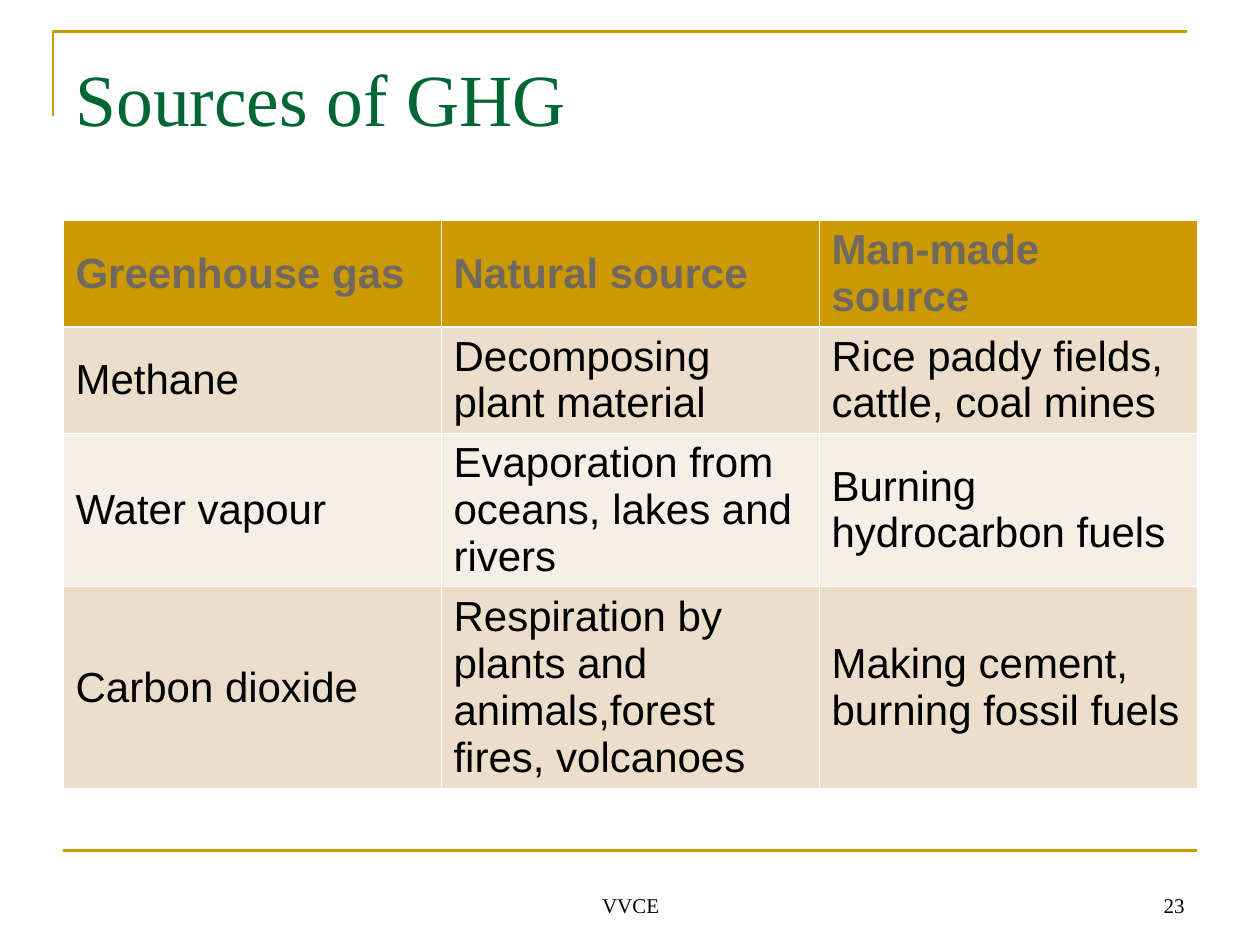
from dataclasses import dataclass

from lxml import etree
from pptx import Presentation, util as u
from pptx.dml.color import RGBColor
from pptx.enum import shapes, text
from pptx.oxml import ns


@dataclass(frozen=True)
class Theme:
    """Colours, fonts and type sizes of the slide."""
    gold: str = "CC9900"
    green: str = "006633"
    grey: str = "6F6961"
    black: str = "000000"
    white: str = "FFFFFF"
    bands: tuple = ("ECDECB", "F6EFE7")
    serif: str = "Times New Roman"
    sans: str = "Arial"
    title_size: int = 42
    table_size: int = 24
    footer_size: int = 12
    rule: float = 1.5
    grid: float = 0.45


THEME = Theme()
HEADERS = ["Greenhouse gas", "Natural source", "Man-made source"]
GASES = [
    ["Methane", "Decomposing plant material", "Rice paddy fields, cattle, coal mines"],
    ["Water vapour", "Evaporation from oceans, lakes and rivers", "Burning hydrocarbon fuels"],
    ["Carbon dioxide", "Respiration by plants and animals,forest fires, volcanoes",
     "Making cement, burning fossil fuels"],
]
ROW_HEIGHTS = [0.84, 0.84, 1.22, 1.6]


def write(tf, words, *, size, font, color, bold=False,
          align=text.PP_ALIGN.LEFT, anchor=text.MSO_ANCHOR.MIDDLE):
    """Fill a text frame with one formatted paragraph."""
    tf.word_wrap = True
    tf.vertical_anchor = anchor
    p = tf.paragraphs[0]
    p.alignment = align
    r = p.add_run()
    r.text = words
    r.font.size = u.Pt(size)
    r.font.name = font
    r.font.bold = bold
    r.font.color.rgb = RGBColor.from_string(color)


def style_rule(sp):
    """Give a line shape the gold stroke and no shadow."""
    sp.line.color.rgb = RGBColor.from_string(THEME.gold)
    sp.line.width = u.Pt(THEME.rule)
    etree.SubElement(sp._element.spPr, ns.qn("a:effectLst"))


def add_rules(slide):
    """Draw the title corner and the footer rule."""
    builder = slide.shapes.build_freeform(u.Inches(0.42), u.Inches(0.92))
    builder.add_line_segments(
        [(u.Inches(0.42), u.Inches(0.25)), (u.Inches(9.42), u.Inches(0.25))], close=False)
    corner = builder.convert_to_shape()
    corner.fill.background()
    style_rule(corner)
    style_rule(slide.shapes.add_connector(
        shapes.MSO_CONNECTOR.STRAIGHT,
        u.Inches(0.5), u.Inches(6.75), u.Inches(9.5), u.Inches(6.75)))


def add_title(slide, words):
    """Place and format the title placeholder."""
    sp = slide.shapes.title
    sp.left, sp.top, sp.width, sp.height = map(u.Inches, (0.5, 0.3, 9, 1.25))
    tf = sp.text_frame
    tf.auto_size = text.MSO_AUTO_SIZE.NONE
    tf.margin_top = u.Inches(0.12)
    write(tf, words, size=THEME.title_size, font=THEME.serif,
          color=THEME.green, anchor=text.MSO_ANCHOR.TOP)


def set_borders(cell, widths):
    """Draw white cell borders with a width in points per side."""
    tc_pr = cell._tc.get_or_add_tcPr()
    for side, width in widths.items():
        ln = etree.SubElement(tc_pr, ns.qn(f"a:ln{side}"), w=str(u.Pt(width)))
        fill = etree.SubElement(ln, ns.qn("a:solidFill"))
        etree.SubElement(fill, ns.qn("a:srgbClr"), val=THEME.white)


def add_gas_table(slide):
    """Add the table of greenhouse gases and their sources."""
    rows = [HEADERS, *GASES]
    table = slide.shapes.add_table(
        len(rows), len(HEADERS), u.Inches(0.5), u.Inches(1.75),
        u.Inches(9), u.Inches(sum(ROW_HEIGHTS))).table
    table.horz_banding = False
    for i, row in enumerate(rows):
        table.rows[i].height = u.Inches(ROW_HEIGHTS[i])
        head = i == 0
        widths = {"L": THEME.grid, "R": THEME.grid,
                  "T": THEME.rule if i == 1 else THEME.grid,
                  "B": THEME.rule if head else THEME.grid}
        band = THEME.gold if head else THEME.bands[(i - 1) % 2]
        for j, words in enumerate(row):
            cell = table.cell(i, j)
            set_borders(cell, widths)
            cell.fill.solid()
            cell.fill.fore_color.rgb = RGBColor.from_string(band)
            cell.vertical_anchor = text.MSO_ANCHOR.MIDDLE
            write(cell.text_frame, words, size=THEME.table_size, font=THEME.sans,
                  color=THEME.grey if head else THEME.black, bold=head)


def add_footer(slide, words, left, width, align):
    """Add a small text box at the foot of the slide."""
    sp = slide.shapes.add_textbox(
        u.Inches(left), u.Inches(6.83), u.Inches(width), u.Inches(0.5))
    write(sp.text_frame, words, size=THEME.footer_size, font=THEME.serif,
          color=THEME.black, align=align, anchor=text.MSO_ANCHOR.BOTTOM)


def main():
    """Build the slide and save it."""
    prs = Presentation()
    prs.slide_width, prs.slide_height = u.Inches(10), u.Inches(7.5)
    slide = prs.slides.add_slide(prs.slide_layouts[5])
    add_rules(slide)
    add_title(slide, "Sources of GHG")
    add_gas_table(slide)
    add_footer(slide, "VVCE", 3.42, 3.17, text.PP_ALIGN.CENTER)
    add_footer(slide, "23", 7.17, 2.33, text.PP_ALIGN.RIGHT)
    prs.save("out.pptx")


if __name__ == "__main__":
    main()
